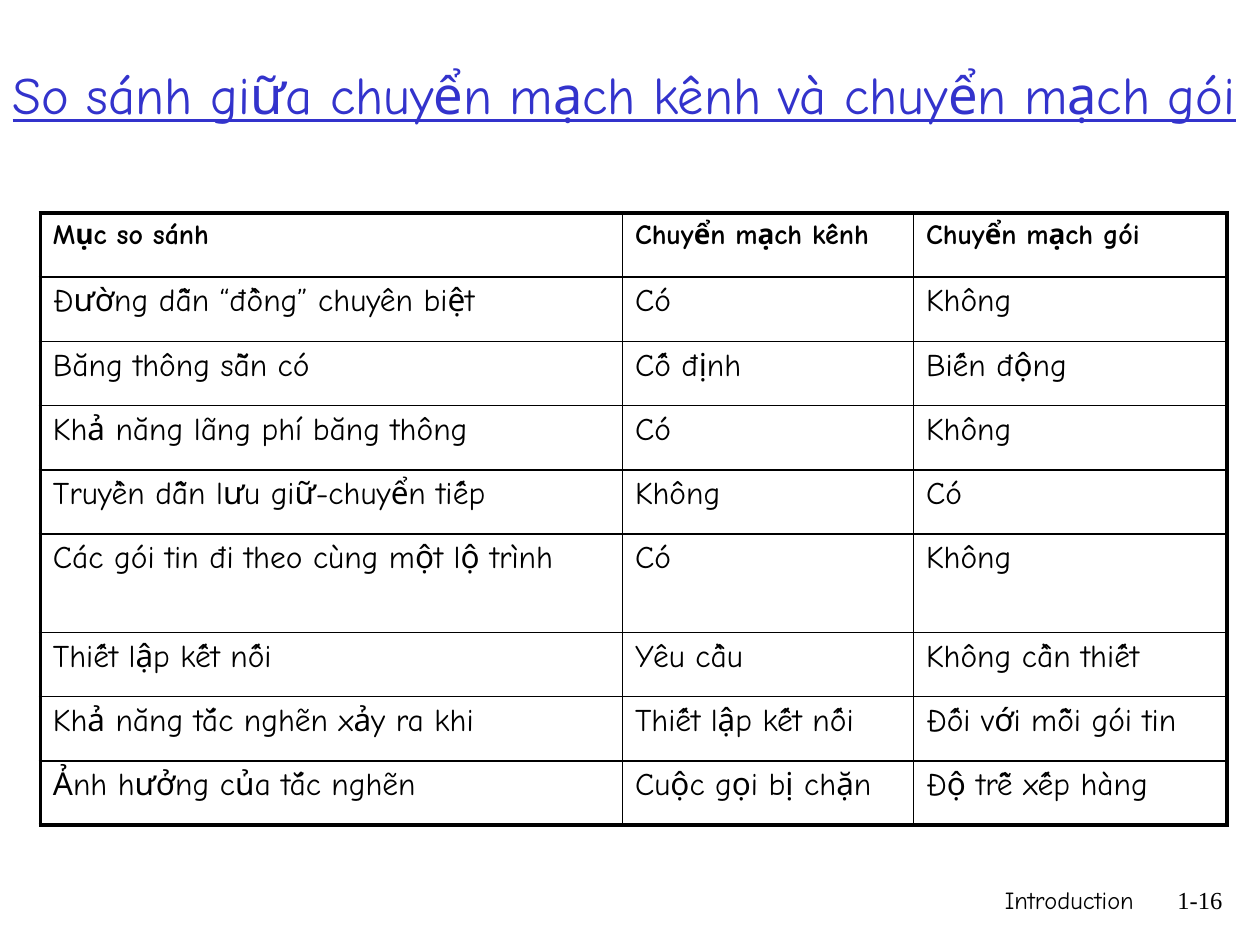
"""Build a slide comparing circuit switching with packet switching."""
from lxml import etree
from pptx import Presentation
from pptx import util as u
from pptx.dml.color import RGBColor
from pptx.enum import text
from pptx.oxml import ns

BLACK = RGBColor(0, 0, 0)
BLUE = RGBColor(0x33, 0x33, 0xCC)
HAND_FONT = "Comic Neue"
NUMBER_FONT = "Times New Roman"
WIDTH, HEIGHT = u.Inches(10), u.Inches(7.5)
THIN, THICK = u.Pt(1), u.Pt(2.25)
COLUMN_INCHES = (4.62, 2.31, 2.49)
ROW_INCHES = 0.51
TALL_ROW, TALL_INCHES = 5, 0.78

COMPARISON = [
    ("Mục so sánh", "Chuyển mạch kênh", "Chuyển mạch gói"),
    ("Đường dẫn “đồng” chuyên biệt", "Có", "Không"),
    ("Băng thông sẵn có", "Cố định", "Biến động"),
    ("Khả năng lãng phí băng thông", "Có", "Không"),
    ("Truyền dẫn lưu giữ-chuyển tiếp", "Không", "Có"),
    ("Các gói tin đi theo cùng một lộ trình", "Có", "Không"),
    ("Thiết lập kết nối", "Yêu cầu", "Không cần thiết"),
    ("Khả năng tắc nghẽn xảy ra khi", "Thiết lập kết nối", "Đối với mỗi gói tin"),
    ("Ảnh hưởng của tắc nghẽn", "Cuộc gọi bị chặn", "Độ trễ xếp hàng"),
]


def share(left, top, width, height):
    """Turn shares of the slide into a box of whole lengths."""
    return int(left * WIDTH), int(top * HEIGHT), int(width * WIDTH), int(height * HEIGHT)


def write(frame, words, size, font=HAND_FONT, color=BLACK, bold=False,
          underline=False, align=text.PP_ALIGN.LEFT, before=0):
    """Write one formatted paragraph into a text frame."""
    frame.word_wrap = True
    paragraph = frame.paragraphs[0]
    paragraph.alignment = align
    paragraph.space_before = u.Pt(before)
    run = paragraph.add_run()
    run.text = words
    run.font.name, run.font.size = font, u.Pt(size)
    run.font.bold, run.font.underline = bold, underline
    run.font.color.rgb = color


def add_title(slide, box):
    """Place and format the title placeholder."""
    title = slide.shapes.title
    title.left, title.top, title.width, title.height = box
    frame = title.text_frame
    frame.auto_size = text.MSO_AUTO_SIZE.NONE
    frame.vertical_anchor = text.MSO_ANCHOR.MIDDLE
    write(frame, "So sánh giữa chuyển mạch kênh và chuyển mạch gói", 30,
          color=BLUE, underline=True)


def draw_borders(cell, widths):
    """Give a cell solid black edges, in left, right, top, bottom order."""
    properties = cell._tc.get_or_add_tcPr()
    for place, (side, width) in enumerate(zip("LRTB", widths)):
        edge = etree.Element(ns.qn(f"a:ln{side}"), w=str(width))
        fill = etree.SubElement(edge, ns.qn("a:solidFill"))
        etree.SubElement(fill, ns.qn("a:srgbClr"), val=str(BLACK))
        properties.insert(place, edge)


def add_comparison(slide, box):
    """Fill the comparison table, with a thick outer frame and thin inner rules."""
    last_row, last_column = len(COMPARISON) - 1, len(COLUMN_INCHES) - 1
    table = slide.shapes.add_table(last_row + 1, last_column + 1, *box).table
    table.first_row = table.horz_banding = False
    for column, inches in zip(table.columns, COLUMN_INCHES):
        column.width = u.Inches(inches)
    for r, entries in enumerate(COMPARISON):
        table.rows[r].height = u.Inches(TALL_INCHES if r == TALL_ROW else ROW_INCHES)
        size = 16 if r == 0 else 18
        for c, entry in enumerate(entries):
            cell = table.cell(r, c)
            cell.fill.background()
            write(cell.text_frame, entry, size, bold=r == 0, before=size * 0.2)
            outer = (c == 0, c == last_column, r == 0, r == last_row)
            draw_borders(cell, [THICK if edge else THIN for edge in outer])


def add_footer(slide, box):
    """Place the chapter name and the page number side by side."""
    left, top, width, height = box
    chapter_width = int(width * 0.82)
    parts = (("Introduction", HAND_FONT, left, chapter_width),
             ("1-16", NUMBER_FONT, left + chapter_width, width - chapter_width))
    for words, font, start, span in parts:
        label = slide.shapes.add_textbox(start, top, span, height)
        write(label.text_frame, words, 14, font=font, align=text.PP_ALIGN.RIGHT)


def main():
    """Build and save the slide."""
    deck = Presentation()
    deck.slide_width, deck.slide_height = WIDTH, HEIGHT
    slide = deck.slides.add_slide(deck.slide_layouts.get_by_name("Title Only"))
    add_footer(slide, share(0.59, 0.93, 0.39, 0.07))
    add_title(slide, share(0, 0.015, 1, 0.167))
    add_comparison(slide, (u.Inches(0.32), u.Inches(1.69), u.Inches(9.42), u.Inches(4.83)))
    deck.save("out.pptx")


if __name__ == "__main__":
    main()
